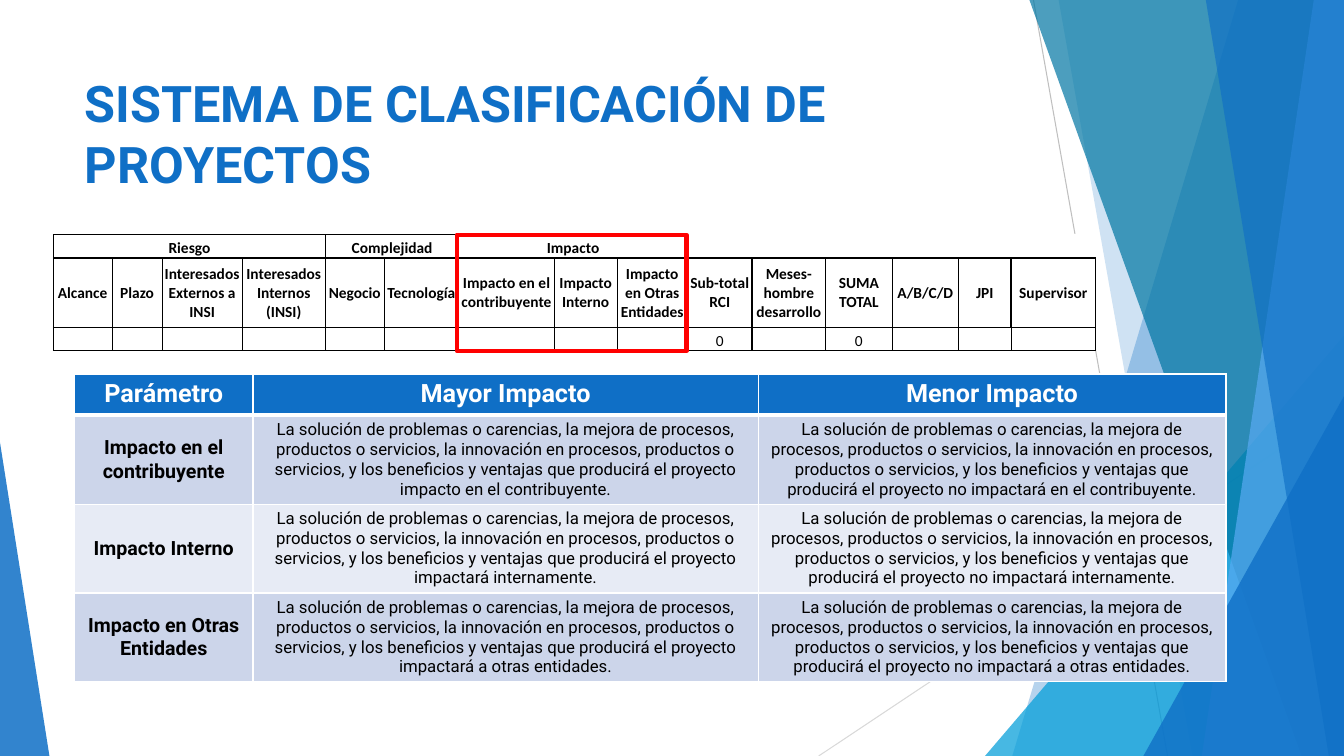
import lxml.etree
import pptx
import pptx.dml.color
import pptx.enum.shapes
import pptx.enum.text
import pptx.oxml.ns
import pptx.util

Inches = pptx.util.Inches
Pt = pptx.util.Pt
qn = pptx.oxml.ns.qn
ANCHOR = pptx.enum.text.MSO_ANCHOR
SHAPE = pptx.enum.shapes.MSO_SHAPE

WIDTH, HEIGHT = 13.33, 7.5
BLUE, BLACK, WHITE, RED = "0F6FC6", "000000", "FFFFFF", "FF0000"

# Score sheet: (group, first column, last column)
GROUPS = [("Riesgo", 0, 3), ("Complejidad", 4, 5), ("Impacto", 6, 8)]
CRITERIA = [
    ("Alcance", 0.58), ("Plazo", 0.5), ("Interesados Externos a INSI", 0.79),
    ("Interesados Internos (INSI)", 0.83), ("Negocio", 0.58), ("Tecnología", 0.74),
    ("Impacto en el contribuyente", 0.95), ("Impacto Interno", 0.62),
    ("Impacto en Otras Entidades", 0.7), ("Sub-total RCI", 0.64),
    ("Meses-hombre desarrollo", 0.73), ("SUMA TOTAL", 0.66), ("A/B/C/D", 0.66),
    ("JPI", 0.52), ("Supervisor", 0.84),
]
FIRST_TOTAL = 9
THICK_EDGES = {0, 4, 6, 9, 10, len(CRITERIA)}

# Impact parameters: (name, ending for major impact, ending for minor impact)
INTRO = ("La solución de problemas o carencias, la mejora de procesos, productos o "
         "servicios, la innovación en procesos, productos o servicios, y los beneficios "
         "y ventajas que producirá el proyecto ")
PARAMETERS = [
    ("Impacto en el contribuyente", "impacto en el contribuyente.",
     "no impactará en el contribuyente."),
    ("Impacto Interno", "impactará internamente.", "no impactará internamente."),
    ("Impacto en Otras Entidades", "impactará a otras entidades.",
     "no impactará a otras entidades."),
]


def rgb(value):
    return pptx.dml.color.RGBColor.from_string(value)


def paint(shape, color, opacity):
    shape.shadow.inherit = False
    shape.line.fill.background()
    shape.fill.solid()
    shape.fill.fore_color.rgb = rgb(color)
    tint = next(shape.element.spPr.iter(qn("a:srgbClr")))
    lxml.etree.SubElement(tint, qn("a:alpha"), val=str(opacity * 1000))


def add_hairline(slide, start, end, color):
    hairline = slide.shapes.add_connector(
        pptx.enum.shapes.MSO_CONNECTOR.STRAIGHT, *map(Inches, start + end))
    hairline.line.color.rgb = rgb(color)
    hairline.line.width = Pt(0.75)
    lxml.etree.SubElement(hairline.element.spPr, qn("a:effectLst"))


def add_band(slide, top_x, bottom_x, color, opacity):
    """Full-height band that reaches the right edge of the slide."""
    corners = [(WIDTH, 0), (WIDTH, HEIGHT), (bottom_x, HEIGHT)]
    outline = slide.shapes.build_freeform(Inches(top_x), 0, scale=1.0)
    outline.add_line_segments([(Inches(x), Inches(y)) for x, y in corners])
    paint(outline.convert_to_shape(), color, opacity)


def add_triangle(slide, box, apex, color, opacity):
    triangle = slide.shapes.add_shape(SHAPE.ISOSCELES_TRIANGLE, *map(Inches, box))
    triangle.adjustments[0] = apex
    paint(triangle, color, opacity)


def add_backdrop(slide):
    add_hairline(slide, (10.25, 0), (11.58, HEIGHT), "BFBFBF")
    add_hairline(slide, (WIDTH, 4.03), (8.12, HEIGHT), "D9D9D9")
    add_band(slide, 12.28, 10.04, BLUE, 30)
    add_band(slide, 10.5, 11.83, BLUE, 20)
    add_triangle(slide, (9.77, 3.33, 3.56, 4.17), 1, "009DD9", 72)
    add_band(slide, 10.21, 12.91, "0076A3", 70)
    add_band(slide, 13.03, 11.92, "59AAF2", 70)
    add_band(slide, 11.96, 13.18, BLUE, 65)
    add_triangle(slide, (11.34, 3.93, 1.99, 3.57), 1, BLUE, 80)
    add_triangle(slide, (0, 4.39, 0.49, 3.11), 0, BLUE, 85)


def format_runs(paragraph, size, font, color, bold):
    for run in paragraph.runs:
        run.font.size = Pt(size)
        run.font.name = font
        run.font.color.rgb = rgb(color)
        run.font.bold = bold


def add_title(slide, text):
    title = slide.shapes.title
    slide.shapes.element.append(title.element)
    title.left, title.top, title.width, title.height = map(Inches, (0.74, 0.67, 9.4, 1.44))
    frame = title.text_frame
    frame.text = text
    frame.word_wrap = True
    frame.auto_size = pptx.enum.text.MSO_AUTO_SIZE.NONE
    frame.vertical_anchor = ANCHOR.TOP
    frame.paragraphs[0].alignment = pptx.enum.text.PP_ALIGN.LEFT
    format_runs(frame.paragraphs[0], 36, "Roboto", BLUE, True)


def add_grid(slide, left, top, widths, heights):
    grid = slide.shapes.add_table(
        len(heights), len(widths), Inches(left), Inches(top),
        Inches(sum(widths)), Inches(sum(heights))).table
    for column, width in zip(grid.columns, widths):
        column.width = Inches(width)
    for row, height in zip(grid.rows, heights):
        row.height = Inches(height)
    return grid


def dress_cell(cell, fill, border_color, borders):
    """Fill a cell and draw its borders; borders maps L, R, T, B to points."""
    properties = cell._tc.get_or_add_tcPr()
    for side in "LRTB":
        if side in borders:
            border = lxml.etree.SubElement(
                properties, qn("a:ln" + side), w=str(Pt(borders[side])))
            solid = lxml.etree.SubElement(border, qn("a:solidFill"))
            lxml.etree.SubElement(solid, qn("a:srgbClr"), val=border_color)
    cell.fill.solid()
    cell.fill.fore_color.rgb = rgb(fill)


def write_cell(cell, text, size, font, color, bold, anchor):
    cell.text_frame.text = text
    cell.vertical_anchor = anchor
    paragraph = cell.text_frame.paragraphs[0]
    paragraph.alignment = pptx.enum.text.PP_ALIGN.CENTER
    format_runs(paragraph, size, font, color, bold)
    if not text:
        lxml.etree.SubElement(paragraph._p, qn("a:endParaRPr"), sz=str(size * 100))


def score_borders(row, column):
    if row == 0 and column >= FIRST_TOTAL:
        return {"L": 1, "B": 1} if column == FIRST_TOTAL else {"B": 1}

    def edge(position):
        boxed = row == 0 or (row == 1 and position >= FIRST_TOTAL)
        return 1 if boxed or position in THICK_EDGES else 0.5

    return {"L": edge(column), "R": edge(column + 1), "T": 1, "B": 0.5 if row == 2 else 1}


def add_score_sheet(slide):
    names, widths = zip(*CRITERIA)
    groups = {first: name for name, first, _ in GROUPS}
    totals = {names.index("Sub-total RCI"): "0", names.index("SUMA TOTAL"): "0"}
    sheet = add_grid(slide, 0.53, 2.33, widths, [0.23, 0.69, 0.23])
    for row, texts in enumerate([groups, dict(enumerate(names)), totals]):
        for column in range(len(names)):
            cell = sheet.cell(row, column)
            cell.margin_left = cell.margin_right = cell.margin_top = cell.margin_bottom = 0
            write_cell(cell, texts.get(column, ""), 11, "Calibri", BLACK, row < 2,
                       ANCHOR.MIDDLE if row == 1 else ANCHOR.BOTTOM)
            dress_cell(cell, WHITE, BLACK, score_borders(row, column))
    for _, first, last in GROUPS:
        sheet.cell(0, first).merge(sheet.cell(0, last))


def add_impact_table(slide):
    rows = [("Parámetro", "Mayor Impacto", "Menor Impacto")]
    rows += [(name, INTRO + major, INTRO + minor) for name, major, minor in PARAMETERS]
    impacts = add_grid(slide, 0.74, 3.71, [1.77, 5.01, 4.64], [0.41] + [0.88] * 3)
    for row, texts in enumerate(rows):
        for column, text in enumerate(texts):
            cell = impacts.cell(row, column)
            if row == 0:
                fill, size, color, anchor = BLUE, 18, WHITE, ANCHOR.TOP
            else:
                fill = "CCD5EA" if row % 2 else "E7EBF5"
                size, color, anchor = 12 if column else 14, BLACK, ANCHOR.MIDDLE
            if row == len(rows) - 1 and column < 2:
                cell.margin_left = cell.margin_right = 0
                cell.margin_top = cell.margin_bottom = 0
            write_cell(cell, text, size, "Roboto", color, row == 0 or column == 0, anchor)
            dress_cell(cell, fill, WHITE, {"L": 1, "R": 1, "T": 3 if row == 1 else 1,
                                           "B": 3 if row == 0 else 1})


def add_impact_highlight(slide):
    highlight = slide.shapes.add_shape(
        SHAPE.RECTANGLE, *map(Inches, (4.53, 2.33, 2.28, 1.15)))
    highlight.shadow.inherit = False
    highlight.fill.background()
    highlight.line.color.rgb = rgb(RED)
    highlight.line.width = Pt(3)


def main():
    deck = pptx.Presentation()
    deck.slide_width, deck.slide_height = Inches(WIDTH), Inches(HEIGHT)
    slide = deck.slides.add_slide(deck.slide_layouts.get_by_name("Title Only"))
    add_backdrop(slide)
    add_score_sheet(slide)
    add_title(slide, "SISTEMA DE CLASIFICACIÓN DE PROYECTOS")
    add_impact_table(slide)
    add_impact_highlight(slide)
    deck.save("out.pptx")


if __name__ == "__main__":
    main()
